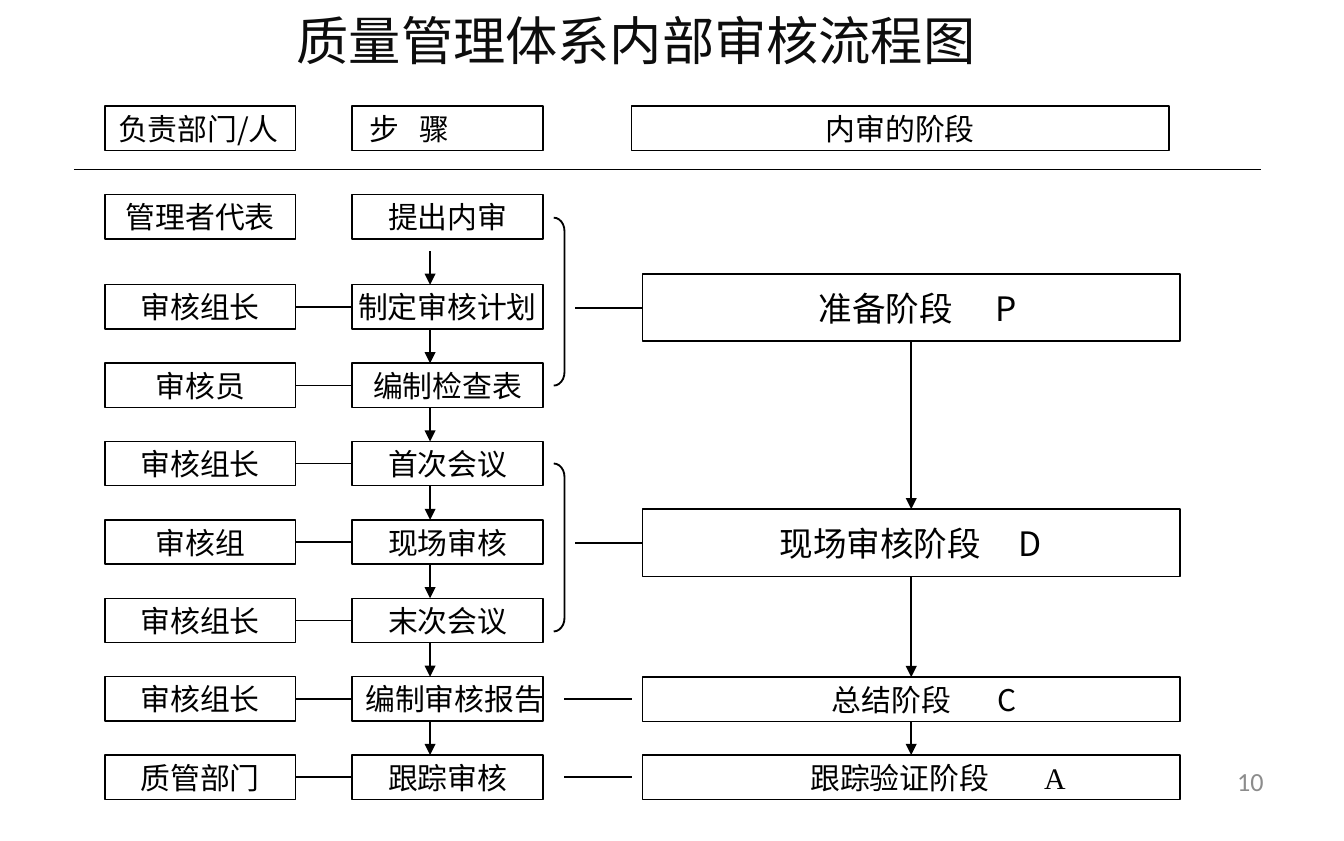
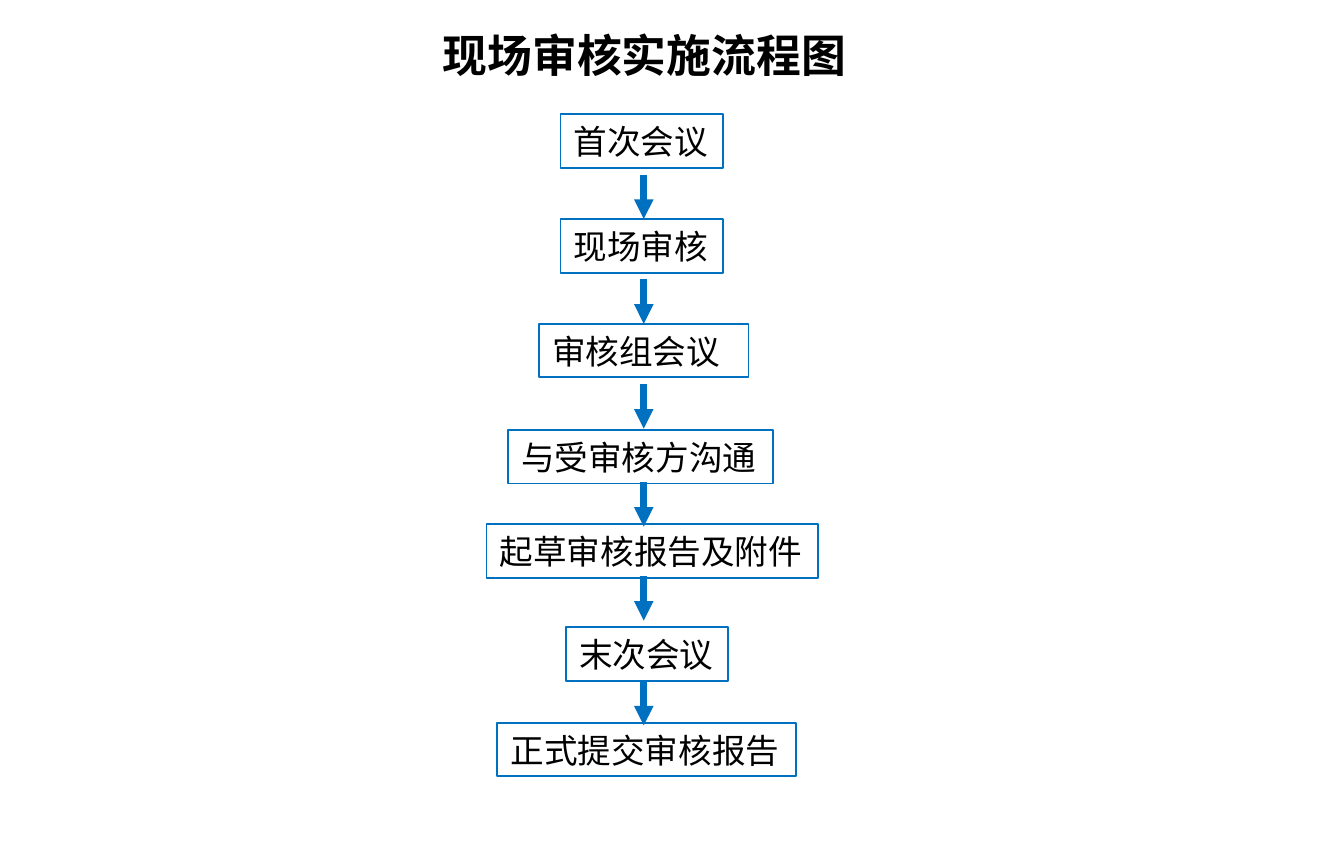
from lxml.etree import SubElement
from pptx import Presentation
from pptx.dml.color import RGBColor
from pptx.enum.shapes import MSO_CONNECTOR, MSO_SHAPE
from pptx.enum.text import MSO_ANCHOR, PP_ALIGN
from pptx.oxml.ns import qn
from pptx.util import Inches, Pt

BLACK = RGBColor(0x00, 0x00, 0x00)
WHITE = RGBColor(0xFF, 0xFF, 0xFF)
TITLE_INK = RGBColor(0x0D, 0x0D, 0x0D)
GREY = RGBColor(0x8C, 0x8C, 0x8C)
BLUE = RGBColor(0x00, 0x70, 0xC0)
SANS, SANS_JP = "Noto Sans CJK SC", "Noto Sans CJK JP"
SERIF, LATIN = "Times New Roman", "Calibri"


def add_label(slide, text, at, size=16, font=SANS, color=BLACK, bold=False,
              align=PP_ALIGN.CENTER, wrap=False, inset=0.1, tab=None,
              border=None, weight=0.75, fill=None):
    place = [Inches(value) for value in at]
    if border is None:
        label = slide.shapes.add_textbox(*place)
    else:
        label = slide.shapes.add_shape(MSO_SHAPE.RECTANGLE, *place)
        label.shadow.inherit = False
        label.line.color.rgb = border
        label.line.width = Pt(weight)
        if fill is None:
            label.fill.background()
        else:
            label.fill.solid()
            label.fill.fore_color.rgb = fill
    frame = label.text_frame
    frame.word_wrap = wrap
    frame.vertical_anchor = MSO_ANCHOR.MIDDLE
    frame.margin_left = Inches(inset)
    paragraph = frame.paragraphs[0]
    paragraph.alignment = align
    if tab is not None:
        stops = SubElement(paragraph._p.get_or_add_pPr(), qn("a:tabLst"))
        SubElement(stops, qn("a:tab"), pos=str(Inches(tab)), algn="l")
    run = paragraph.add_run()
    run.text = text
    run.font.size = Pt(size)
    run.font.name = font
    run.font.bold = bold
    run.font.color.rgb = color
    east_asian = font if font in (SANS, SANS_JP) else SANS
    SubElement(run._r.get_or_add_rPr(), qn("a:ea"), typeface=east_asian)
    return label


def add_line(slide, x1, y1, x2, y2, color=BLACK, weight=0.75, arrow=False):
    line = slide.shapes.add_connector(
        MSO_CONNECTOR.STRAIGHT, Inches(x1), Inches(y1), Inches(x2), Inches(y2))
    line.line.color.rgb = color
    line.line.width = Pt(weight)
    if arrow:
        SubElement(line.line._get_or_add_ln(), qn("a:tailEnd"), type="triangle")
    SubElement(line._element.spPr, qn("a:effectLst"))
    return line


prs = Presentation()
prs.slide_width, prs.slide_height = Inches(10), Inches(6.26)
blank = prs.slide_layouts[6]

audit = prs.slides.add_slide(blank)
ROLE_X, STEP_X, PHASE_X = 0.78, 2.62, 4.78
BOX_W, BOX_H, PHASE_W = 1.42, 0.33, 4
HEADER_Y, ARROW_X = 0.79, 3.2
framed = {"border": BLACK, "fill": WHITE}

add_label(audit, "10", (7.17, 5.65, 2.33, 0.33), size=14, font=LATIN,
          color=GREY, align=PP_ALIGN.RIGHT, wrap=True)
add_label(audit, "质量管理体系内部审核流程图", (2.11, 0.01, 5.31, 0.57), size=28,
          color=TITLE_INK, align=PP_ALIGN.LEFT, wrap=True)
add_label(audit, "负责部门/人", (ROLE_X, HEADER_Y, BOX_W, BOX_H),
          align=PP_ALIGN.LEFT, **framed)
add_label(audit, "步\t骤", (STEP_X, HEADER_Y, BOX_W, BOX_H), font=SANS_JP,
          align=PP_ALIGN.LEFT, wrap=True, inset=0.13, tab=0.37, **framed)
add_label(audit, "内审的阶段", (4.7, HEADER_Y, PHASE_W, BOX_H), font=SERIF, **framed)
add_line(audit, 0.55, 1.26, 9.38, 1.26)

activities = [
    ("管理者代表", "提出内审"),
    ("审核组长", "制定审核计划"),
    ("审核员", "编制检查表"),
    ("审核组长", "首次会议"),
    ("审核组", "现场审核"),
    ("审核组长", "末次会议"),
    ("审核组长", "编制审核报告"),
    ("质管部门", "跟踪审核"),
]
for row, (role, step) in enumerate(activities):
    y = 2.12 + (row - 1) * 3.5 / 6 if row else 1.45
    role_box = add_label(audit, role, (ROLE_X, y, BOX_W, BOX_H), **framed)
    step_align = PP_ALIGN.LEFT if step == "编制审核报告" else PP_ALIGN.CENTER
    step_box = add_label(audit, step, (STEP_X, y, BOX_W, BOX_H), font=SANS_JP,
                         align=step_align, **framed)
    if row:
        middle = y + BOX_H / 2
        role_link = add_line(audit, ROLE_X + BOX_W, middle, STEP_X, middle)
        role_link.begin_connect(role_box, 3)
        role_link.end_connect(step_box, 1)
        add_line(audit, ARROW_X, y - 0.25, ARROW_X, y, arrow=True)

for bracket_y in (1.62, 3.45):
    bracket = audit.shapes.add_shape(
        MSO_SHAPE.RIGHT_BRACKET, Inches(4.12), Inches(bracket_y), Inches(0.08), Inches(1.25))
    bracket.adjustments[0] = 1.25
    bracket.shadow.inherit = False
    bracket.fill.background()
    bracket.line.color.rgb = BLACK
    bracket.line.width = Pt(1)

phases = [
    ("准备阶段\tP", 2.04, 0.5, 18, SANS, 1.31, 1.32),
    ("现场审核阶段\tD", 3.79, 0.5, 18, SANS, 1.02, 1.78),
    ("总结阶段\tC", 5.04, BOX_H, 16, SANS, 1.41, 1.23),
    ("跟踪验证阶段\tA", 5.62, BOX_H, 16, SERIF, 1.25, 1.74),
]
previous = None
for phase, y, height, size, font, inset, tab in phases:
    phase_box = add_label(audit, phase, (PHASE_X, y, PHASE_W, height), size=size,
                          font=font, align=PP_ALIGN.LEFT, wrap=True, inset=inset,
                          tab=tab, **framed)
    middle = y + height / 2
    if height == BOX_H:
        add_line(audit, 4.2, middle, 4.7, middle, weight=1)
    else:
        phase_link = add_line(audit, 4.28, middle, PHASE_X, middle, weight=1)
        phase_link.end_connect(phase_box, 1)
    if previous is not None:
        center = PHASE_X + PHASE_W / 2
        phase_arrow = add_line(audit, center, y, center, y, weight=1, arrow=True)
        phase_arrow.begin_connect(previous, 2)
        phase_arrow.end_connect(phase_box, 0)
    previous = phase_box

onsite = prs.slides.add_slide(blank)
FLOW_X, ARROW_H = 4.79, 0.33
add_label(onsite, "现场审核实施流程图", (3.18, 0.16, 3.23, 0.5), size=24, font=LATIN, bold=True)

stages = [
    ("首次会议", 4.17, 0.85, 1.21, None),
    ("现场审核", 4.17, 1.63, 1.21, 1.3),
    ("审核组会议", 4.01, 2.41, 1.56, 2.08),
    ("与受审核方沟通", 3.78, 3.2, 1.97, 2.86),
    ("起草审核报告及附件", 3.62, 3.9, 2.47, 3.59),
    ("末次会议", 4.21, 4.67, 1.21, 4.29),
    ("正式提交审核报告", 3.7, 5.38, 2.22, 5.07),
]
for stage, x, y, width, arrow_y in stages:
    stage_box = add_label(onsite, stage, (x, y, width, 0.4), size=18, font=LATIN,
                          align=PP_ALIGN.LEFT, border=BLUE, weight=1)
    if arrow_y is not None:
        stage_arrow = add_line(onsite, FLOW_X, arrow_y, FLOW_X, arrow_y + ARROW_H,
                               color=BLUE, weight=3.5, arrow=True)
        if abs(x + width / 2 - FLOW_X) < 0.01:
            stage_arrow.end_connect(stage_box, 0)

prs.save("out.pptx")
